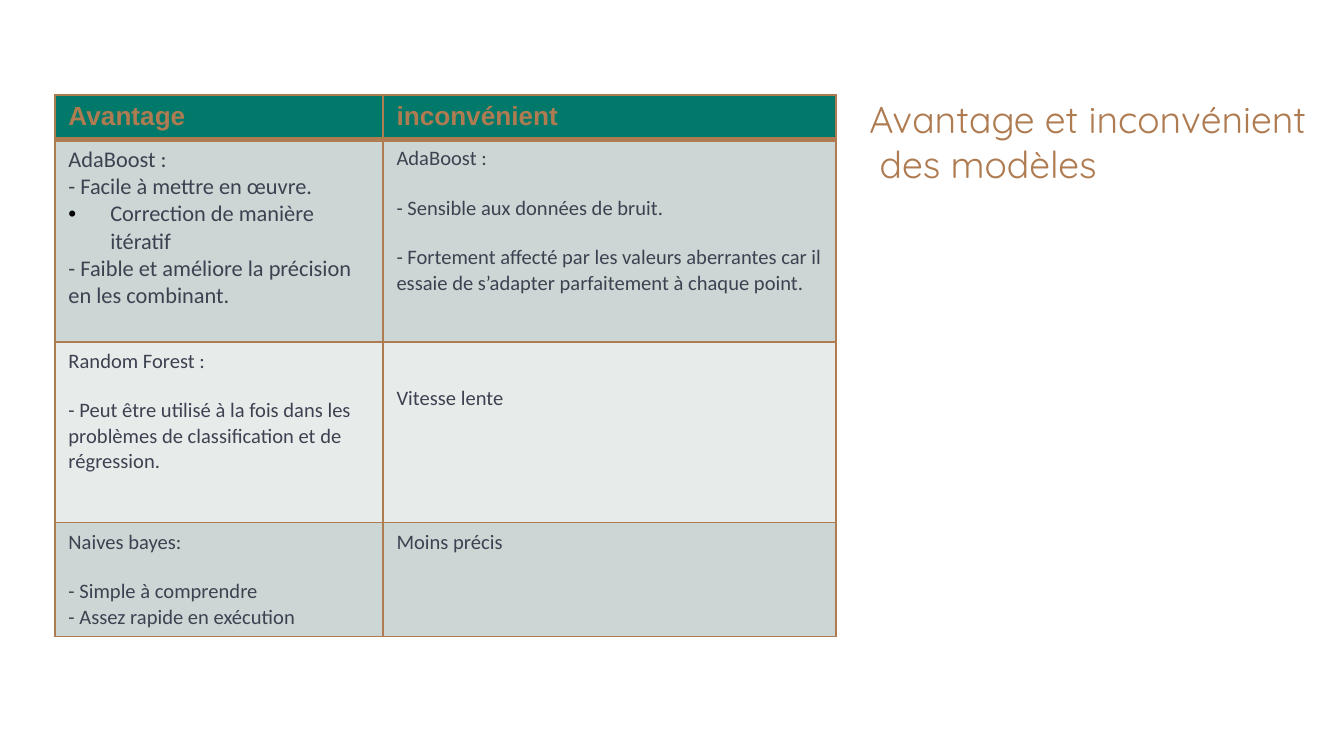
from lxml.etree import SubElement
from pptx import Presentation
from pptx.dml.color import RGBColor as Rgb
from pptx.enum.text import MSO_ANCHOR as Anchor, MSO_AUTO_SIZE as AutoSize, PP_ALIGN as Align
from pptx.oxml.ns import qn
from pptx.util import Cm, Pt

COLORS = {
    "bronze": "AF7B51",
    "green": "00796B",
    "text": "3D4251",
    "bullet": "000000",
    "dark_band": "CCD6D4",
    "light_band": "E7EBEA",
}
COLUMN_WIDTHS = [6.2, 8.56]
ROW_HEIGHTS = [0.83, 3.83, 3.42, 2.12]
THIN, THICK = 0.96, 3
GAP = {"before": 13}  # points left free above a paragraph
BULLET = {"bullet": True}

HEADERS = ["Avantage", "inconvénient"]

# Each row: fill colour, then a pair of cells; a cell has its format and paragraphs
ROWS = [
    ("dark_band", [
        ({"size": 12}, [
            ("AdaBoost :", {}),
            ("- Facile à mettre en œuvre.", {}),
            ("Correction de manière itératif", BULLET),
            ("- Faible et améliore la précision en les combinant.", {}),
        ]),
        ({}, [
            ("AdaBoost :", {}),
            ("- Sensible aux données de bruit.", GAP),
            ("- Fortement affecté par les valeurs aberrantes car il essaie de "
             "s’adapter parfaitement à chaque point.", GAP),
        ]),
    ]),
    ("light_band", [
        ({}, [
            ("Random Forest :", {}),
            ("- Peut être utilisé à la fois dans les problèmes de classification "
             "et de régression.", GAP),
        ]),
        ({"top": 0.83}, [("Vitesse lente", {})]),
    ]),
    ("dark_band", [
        ({}, [
            ("Naives bayes:", {}),
            ("- Simple à comprendre", GAP),
            ("- Assez rapide en exécution", {}),
        ]),
        ({}, [("Moins précis", {})]),
    ]),
]


def add_bullet(paragraph):
    """Give a paragraph a black dot and a hanging indent."""
    properties = paragraph._p.get_or_add_pPr()
    properties.set("marL", str(Cm(0.79)))
    properties.set("indent", str(-Cm(0.79)))
    color = SubElement(properties, qn("a:buClr"))
    SubElement(color, qn("a:srgbClr"), val=COLORS["bullet"])
    SubElement(properties, qn("a:buFont"), typeface="Arial")
    SubElement(properties, qn("a:buChar"), char="•")


def write_text(paragraph, text, font="Calibri", size=11, color="text",
               bold=False, before=0, bullet=False):
    """Fill a paragraph with formatted text."""
    paragraph.text = text
    paragraph.alignment = Align.LEFT
    if before:
        paragraph.space_before = Pt(before)
    if bullet:
        add_bullet(paragraph)
    for run in paragraph.runs:
        run.font.name = font
        run.font.size = Pt(size)
        run.font.bold = bold
        run.font.color.rgb = Rgb.from_string(COLORS[color])


def style_cell(cell, fill, top_line=THIN, bottom_line=THIN):
    """Draw the four borders of a cell, then its fill."""
    properties = cell._tc.get_or_add_tcPr()
    widths = {"lnL": THIN, "lnR": THIN, "lnT": top_line, "lnB": bottom_line}
    for side, width in widths.items():
        line = SubElement(properties, qn(f"a:{side}"), w=str(Pt(width)))
        solid = SubElement(line, qn("a:solidFill"))
        SubElement(solid, qn("a:srgbClr"), val=COLORS["bronze"])
    cell.fill.solid()
    cell.fill.fore_color.rgb = Rgb.from_string(COLORS[fill])


def add_title(slide):
    title = slide.shapes.title
    title.left, title.top, title.width, title.height = Cm(16.18), Cm(1.57), Cm(9.2), Cm(2.64)
    frame = title.text_frame
    frame.word_wrap = True
    frame.auto_size = AutoSize.NONE
    frame.vertical_anchor = Anchor.TOP
    frame.margin_left = frame.margin_right = Cm(0.25)
    frame.margin_top = frame.margin_bottom = Cm(0.25)
    write_text(frame.paragraphs[0], "Avantage et inconvénient\v des modèles",
               font="Quicksand", size=20, color="bronze")


def add_comparison_table(slide):
    table = slide.shapes.add_table(
        len(ROW_HEIGHTS), len(COLUMN_WIDTHS), Cm(1.04), Cm(1.8),
        Cm(sum(COLUMN_WIDTHS)), Cm(sum(ROW_HEIGHTS))).table
    for column, width in zip(table.columns, COLUMN_WIDTHS):
        column.width = Cm(width)
    for row, height in zip(table.rows, ROW_HEIGHTS):
        row.height = Cm(height)

    # Header row
    for index, header in enumerate(HEADERS):
        cell = table.cell(0, index)
        style_cell(cell, "green", bottom_line=THICK)
        write_text(cell.text_frame.paragraphs[0], header,
                   font="Arial", size=14, color="bronze", bold=True)

    # One row per model
    for row_index, (fill, cells) in enumerate(ROWS, start=1):
        for column_index, (cell_format, lines) in enumerate(cells):
            cell = table.cell(row_index, column_index)
            style_cell(cell, fill, top_line=THICK if row_index == 1 else THIN)
            if "top" in cell_format:
                cell.margin_top = Cm(cell_format["top"])
            frame = cell.text_frame
            for index, (text, options) in enumerate(lines):
                paragraph = frame.add_paragraph() if index else frame.paragraphs[0]
                write_text(paragraph, text, size=cell_format.get("size", 11), **options)


def main():
    presentation = Presentation()
    presentation.slide_width, presentation.slide_height = Cm(25.4), Cm(14.29)
    slide = presentation.slides.add_slide(presentation.slide_layouts[5])
    add_title(slide)
    add_comparison_table(slide)
    presentation.save("out.pptx")


if __name__ == "__main__":
    main()
